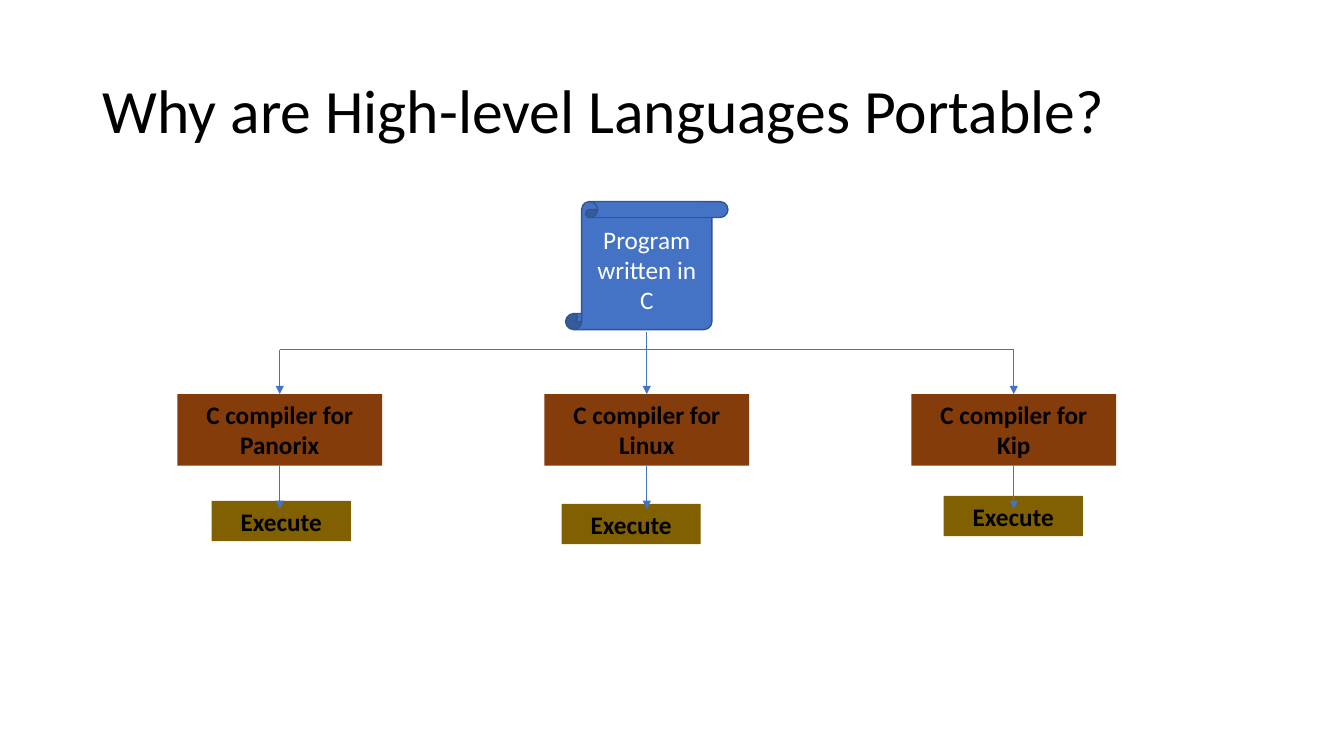
from lxml import etree
from pptx import Presentation
from pptx.dml.color import RGBColor
from pptx.enum.shapes import MSO_CONNECTOR, MSO_SHAPE
from pptx.enum.text import MSO_ANCHOR, MSO_AUTO_SIZE, PP_ALIGN
from pptx.oxml.ns import qn
from pptx.util import Inches, Pt

STRAIGHT = MSO_CONNECTOR.STRAIGHT
RECTANGLE = MSO_SHAPE.RECTANGLE
SCROLL = MSO_SHAPE.VERTICAL_SCROLL
TOP, MIDDLE = MSO_ANCHOR.TOP, MSO_ANCHOR.MIDDLE
LEFT, CENTER = PP_ALIGN.LEFT, PP_ALIGN.CENTER
GROW, FIXED = MSO_AUTO_SIZE.SHAPE_TO_FIT_TEXT, MSO_AUTO_SIZE.NONE
TOP_SIDE, BOTTOM_SIDE = 0, 2


def color(value):
    return RGBColor.from_string(value)


class Diagram:
    font_name = "Calibri"
    black = "000000"
    white = "FFFFFF"
    blue = "4472C4"
    dark_blue = "325491"
    brown = "843C0B"
    olive = "806000"

    def __init__(self, slide):
        self.slide = slide

    def set_text(self, shape, text, size, text_color, bold, align, anchor):
        frame = shape.text_frame
        frame.text = text
        frame.word_wrap = True
        frame.vertical_anchor = anchor
        paragraph = frame.paragraphs[0]
        paragraph.alignment = align
        font = paragraph.runs[0].font
        font.name = self.font_name
        font.size = Pt(size)
        font.bold = bold
        font.color.rgb = color(text_color)

    def title(self, text, left, top, width, height):
        shape = self.slide.shapes.title
        shape.left, shape.top = Inches(left), Inches(top)
        shape.width, shape.height = Inches(width), Inches(height)
        self.set_text(shape, text, 44, self.black, False, LEFT, MIDDLE)
        shape.text_frame.auto_size = FIXED
        shape.text_frame.paragraphs[0].line_spacing = 0.9

    def shape(self, kind, left, top, width, height, fill):
        shape = self.slide.shapes.add_shape(
            kind, Inches(left), Inches(top), Inches(width), Inches(height))
        shape.shadow.inherit = False
        shape.fill.solid()
        shape.fill.fore_color.rgb = color(fill)
        return shape

    def scroll(self, text, left, top, width, height):
        shape = self.shape(SCROLL, left, top, width, height, self.blue)
        shape.line.color.rgb = color(self.dark_blue)
        shape.line.width = Pt(1)
        self.set_text(shape, text, 18, self.white, False, CENTER, MIDDLE)

    def box(self, text, left, top, width, height, fill):
        shape = self.shape(RECTANGLE, left, top, width, height, fill)
        shape.line.fill.background()
        self.set_text(shape, text, 18, self.black, True, CENTER, TOP)
        shape.text_frame.auto_size = GROW
        return shape

    def line(self, start_x, start_y, end_x, end_y, arrow=True):
        connector = self.slide.shapes.add_connector(
            STRAIGHT, Inches(start_x), Inches(start_y), Inches(end_x), Inches(end_y))
        connector.line.color.rgb = color(self.blue)
        connector.line.width = Pt(0.5)
        properties = connector._element.spPr
        if arrow:
            outline = properties.find(qn("a:ln"))
            etree.SubElement(outline, qn("a:tailEnd"), type="triangle")
        etree.SubElement(properties, qn("a:effectLst"))
        return connector


def main():
    presentation = Presentation()
    presentation.slide_width = Inches(13.33)
    presentation.slide_height = Inches(7.5)
    slide = presentation.slides.add_slide(presentation.slide_layouts[5])
    diagram = Diagram(slide)

    diagram.title("Why are High-level Languages Portable?", 0.92, 0.4, 11.5, 1.45)
    diagram.scroll("Program written in C", 5.61, 2, 1.61, 1.27)

    first_left, column_step = 1.76, 3.64
    compiler_top, compiler_width, compiler_height = 3.91, 2.03, 0.71
    compiler_bottom = compiler_top + compiler_height
    branch_y = 3.47
    columns = [
        ("Panorix", branch_y, 2.1, 4.97),
        ("Linux", 3.29, 5.57, 5),
        ("Kip", branch_y, 9.36, 4.92),
    ]
    centers = [first_left + index * column_step + compiler_width / 2
               for index in range(len(columns))]

    diagram.line(centers[0], branch_y, centers[-1], branch_y, arrow=False)
    for center, (system, start_y, execute_left, execute_top) in zip(centers, columns):
        compiler = diagram.box(f"C compiler for {system}", center - compiler_width / 2,
                               compiler_top, compiler_width, compiler_height, diagram.brown)
        diagram.box("Execute", execute_left, execute_top, 1.38, 0.4, diagram.olive)
        incoming = diagram.line(center, start_y, center, compiler_top)
        incoming.end_connect(compiler, TOP_SIDE)
        outgoing = diagram.line(center, compiler_bottom, center, 5.05)
        outgoing.begin_connect(compiler, BOTTOM_SIDE)

    presentation.save("out.pptx")


if __name__ == "__main__":
    main()
